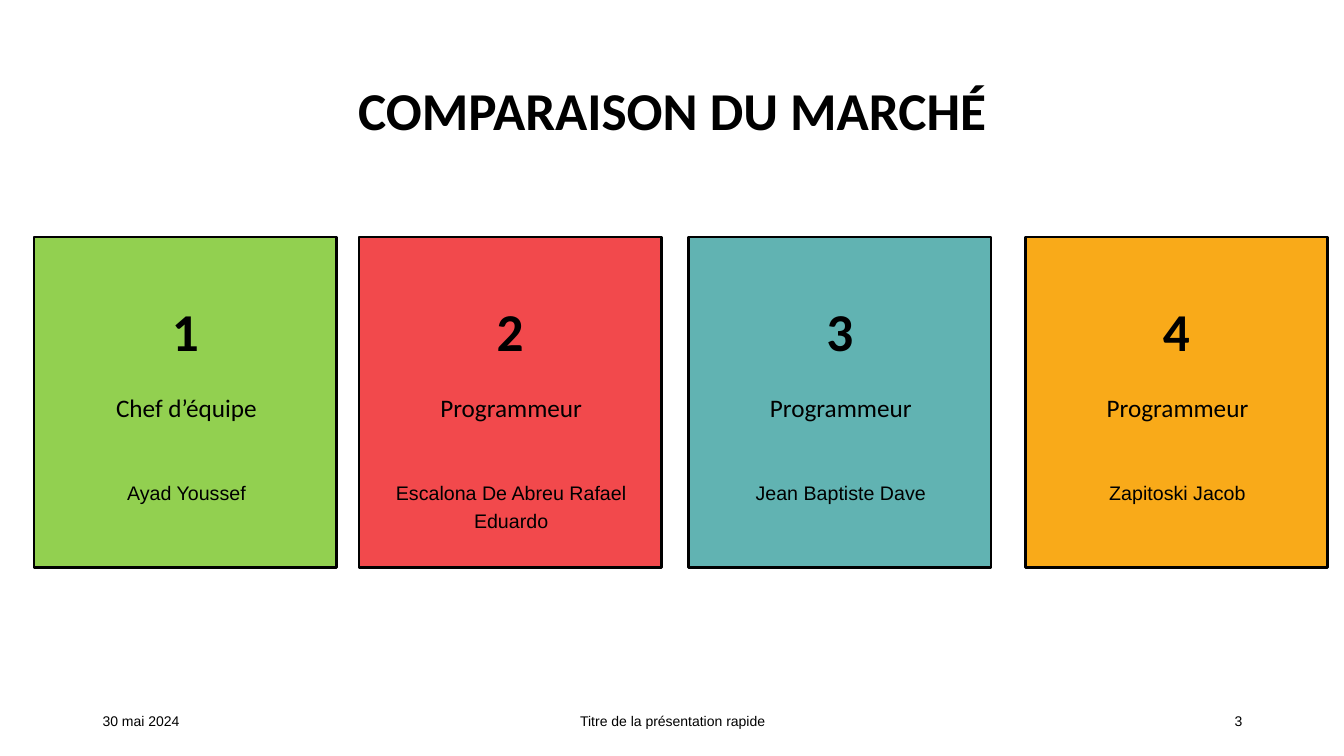
import pptx
import pptx.util
import pptx.dml.color
import pptx.enum.shapes
import pptx.enum.text

Pt = pptx.util.Pt
Align = pptx.enum.text.PP_ALIGN
Anchor = pptx.enum.text.MSO_ANCHOR

# Card left edge, fill, role and name
CARDS = [
    (2.55, "92D050", "Chef d’équipe", "Ayad Youssef"),
    (26.71, "F2494C", "Programmeur", "Escalona De Abreu Rafael Eduardo"),
    (51.24, "61B3B2", "Programmeur", "Jean Baptiste Dave"),
    (76.29, "F9AA19", "Programmeur", "Zapitoski Jacob"),
]
# Footer left edge, width, alignment and text
FOOTER = [
    (6.9, 22.5, Align.LEFT, "30 mai 2024"),
    (33.16, 33.76, Align.CENTER, "Titre de la présentation rapide"),
    (70.67, 22.5, Align.RIGHT, "3"),
]


def color(code):
    return pptx.dml.color.RGBColor.from_string(code)


def write(frame, text, size=14, font="Arial", bold=False,
          align=Align.CENTER, anchor=Anchor.TOP, space=1.0):
    frame.word_wrap = True
    frame.vertical_anchor = anchor
    par = frame.paragraphs[0]
    par.alignment = align
    par.line_spacing = space
    run = par.add_run()
    run.text = text
    run.font.size = Pt(size)
    run.font.name = font
    run.font.bold = bold
    run.font.color.rgb = color("000000")


class Deck:
    """Holds the style and slide; lengths are percent of width and height."""
    head = dict(size=38, font="Calibri", bold=True, space=0.9)
    role = dict(size=18, font="Calibri")
    name = dict(size=14, space=Pt(20))
    foot = dict(size=10, anchor=Anchor.MIDDLE)

    def __init__(self):
        self.file = pptx.Presentation()
        self.file.slide_width = pptx.util.Inches(13.33)
        self.file.slide_height = pptx.util.Inches(7.5)
        self.slide = self.file.slides.add_slide(self.file.slide_layouts[6])

    def area(self, left, top, width, height):
        wide, high = self.file.slide_width, self.file.slide_height
        return [int(share * full / 100) for share, full in
                ((left, wide), (top, high), (width, wide), (height, high))]

    def label(self, area, text, **style):
        box = self.slide.shapes.add_textbox(*self.area(*area))
        write(box.text_frame, text, **style)

    def block(self, area, fill, text, **style):
        kind = pptx.enum.shapes.MSO_SHAPE.RECTANGLE
        box = self.slide.shapes.add_shape(kind, *self.area(*area))
        box.shadow.inherit = False
        box.fill.solid()
        box.fill.fore_color.rgb = color(fill)
        box.line.color.rgb = color("000000")
        box.line.width = Pt(1.75)
        frame = box.text_frame
        frame.margin_left = frame.margin_right = frame.margin_bottom = 0
        frame.margin_top = pptx.util.Inches(0.68)
        write(frame, text, **style)

    def card(self, left, fill, number, role, name):
        self.block((left, 31.33, 22.5, 43.73), fill, number, **self.head)
        inner = left + 1.95
        self.label((inner, 51.2, 18.75, 10.67), role, **self.role)
        self.label((inner, 62.4, 18.75, 9.33), name, **self.name)


def main():
    deck = Deck()
    deck.label((6.9, 5.33, 86.27, 19.33), "COMPARAISON DU MARCHÉ",
               anchor=Anchor.MIDDLE, **deck.head)
    for number, (left, fill, role, name) in enumerate(CARDS, 1):
        deck.card(left, fill, str(number), role, name)
    for left, width, align, text in FOOTER:
        deck.label((left, 92.67, width, 5.33), text, align=align, **deck.foot)
    deck.file.save("out.pptx")


if __name__ == "__main__":
    main()
